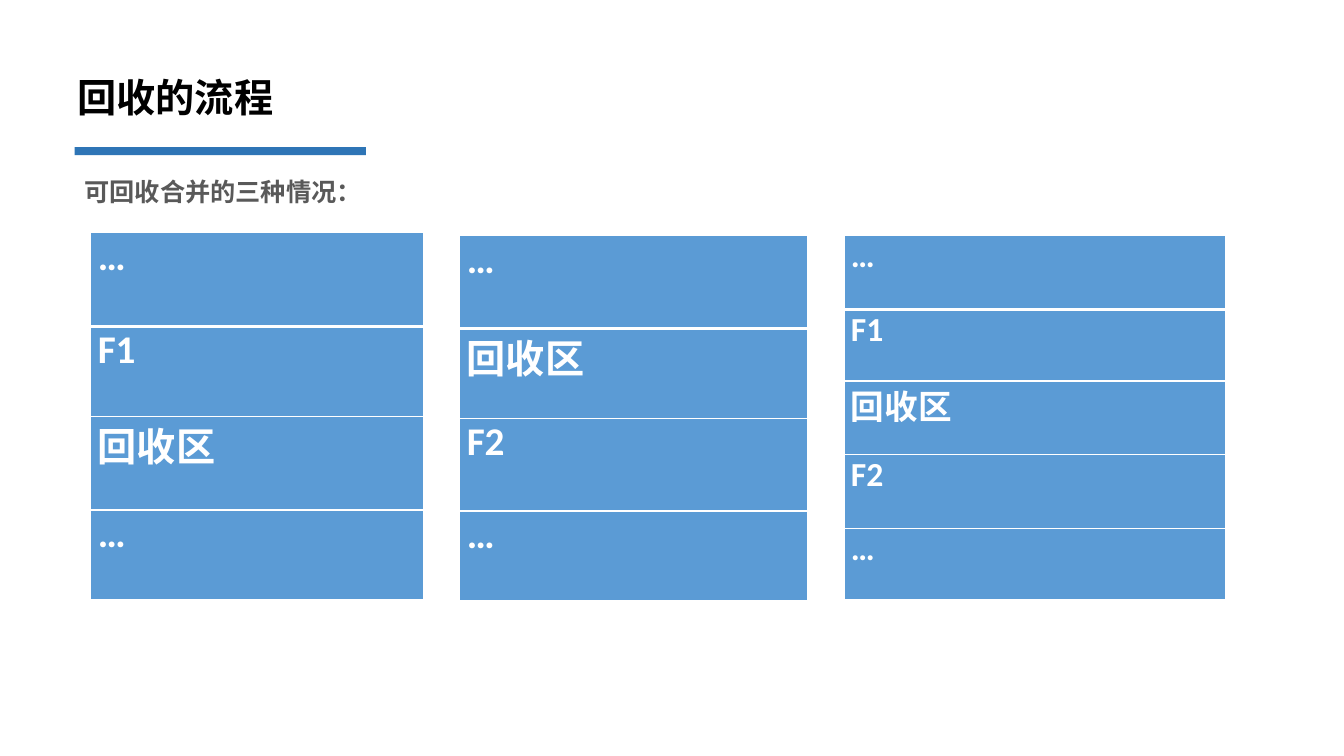
from lxml.etree import SubElement
from pptx import Presentation
from pptx.dml.color import RGBColor
from pptx.enum.shapes import MSO_SHAPE
from pptx.enum.text import MSO_AUTO_SIZE, PP_ALIGN
from pptx.oxml.ns import qn
from pptx.util import Pt

PX = 9144  # 100 px to the inch
BLACK = RGBColor(0x00, 0x00, 0x00)
GREY = RGBColor(0x59, 0x59, 0x59)
WHITE = RGBColor(0xFF, 0xFF, 0xFF)
RULE_BLUE = RGBColor(0x2E, 0x75, 0xB6)
CELL_BLUE = RGBColor(0x5B, 0x9B, 0xD5)
CJK_FONT = "Noto Sans CJK SC"


def add_bold_span(para, text, size, color, latin_font):
    span = para.add_run()
    span.text = text
    span.font.size = Pt(size)
    span.font.bold = True
    span.font.color.rgb = color
    span.font.name = latin_font
    SubElement(span.font._element, qn("a:ea"), typeface=CJK_FONT)


def set_borders(cell, widths):
    """Draw white borders; widths maps L, R, T, B to points, in that order."""
    properties = cell._tc.get_or_add_tcPr()
    for position, (side, width) in enumerate(widths.items()):
        line = SubElement(properties, qn(f"a:ln{side}"), w=str(Pt(width)))
        fill = SubElement(line, qn("a:solidFill"))
        SubElement(fill, qn("a:srgbClr"), val=str(WHITE))
        properties.insert(position, line)


deck = Presentation()
deck.slide_width = 1333 * PX
deck.slide_height = 750 * PX
page = deck.slides.add_slide(deck.slide_layouts[6])

headings = [
    ("回收的流程", (67, 68, 444, 57), 28, BLACK, PP_ALIGN.LEFT, 1.0),
    ("可回收合并的三种情况：", (74, 155, 480, 50), 18, GREY, PP_ALIGN.JUSTIFY, 1.5),
]
for text, place, size, color, alignment, spacing in headings:
    box = page.shapes.add_textbox(*(length * PX for length in place))
    box.text_frame.word_wrap = True
    box.text_frame.auto_size = MSO_AUTO_SIZE.SHAPE_TO_FIT_TEXT
    para = box.text_frame.paragraphs[0]
    para.alignment = alignment
    para.line_spacing = spacing
    add_bold_span(para, text, size, color, CJK_FONT)

title_rule = page.shapes.add_shape(
    MSO_SHAPE.RECTANGLE, 74 * PX, 146 * PX, 289 * PX, 8 * PX)
title_rule.shadow.inherit = False
title_rule.fill.solid()
title_rule.fill.fore_color.rgb = RULE_BLUE
title_rule.line.fill.background()

# Each case: left, top, width, text size, then label and height of every row
merge_cases = [
    (90, 231, 330, 28, [("…", 93), ("F1", 89), ("回收区", 93), ("…", 89)]),
    (456, 234, 345, 28, [("…", 92), ("回收区", 89), ("F2", 92), ("…", 89)]),
    (837, 234, 379, 24,
     [("…", 73), ("F1", 71), ("回收区", 73), ("F2", 73), ("…", 71)]),
]
for left, top, width, size, blocks in merge_cases:
    total_height = sum(height for label, height in blocks)
    table = page.shapes.add_table(
        len(blocks), 1, left * PX, top * PX, width * PX, total_height * PX).table
    table.horz_banding = False
    for index, (label, height) in enumerate(blocks):
        table.rows[index].height = height * PX
        cell = table.cell(index, 0)
        cell.margin_left = cell.margin_right = 7 * PX
        cell.margin_top = cell.margin_bottom = 0
        cell.fill.solid()
        cell.fill.fore_color.rgb = CELL_BLUE
        set_borders(cell, {"L": 1, "R": 1, "T": 3 if index == 1 else 1,
                           "B": 3 if index == 0 else 1})
        para = cell.text_frame.paragraphs[0]
        para.alignment = PP_ALIGN.JUSTIFY
        add_bold_span(para, label, size, WHITE, "Calibri")

deck.save("out.pptx")
